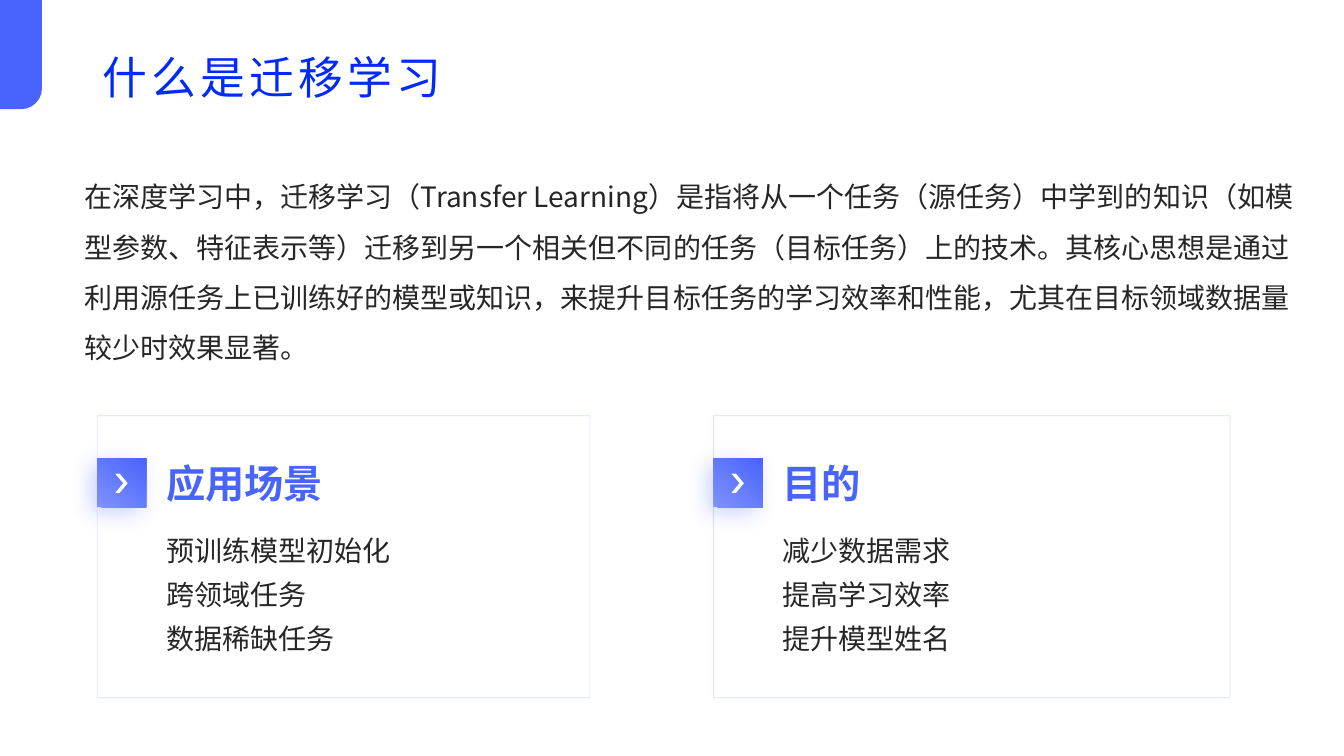
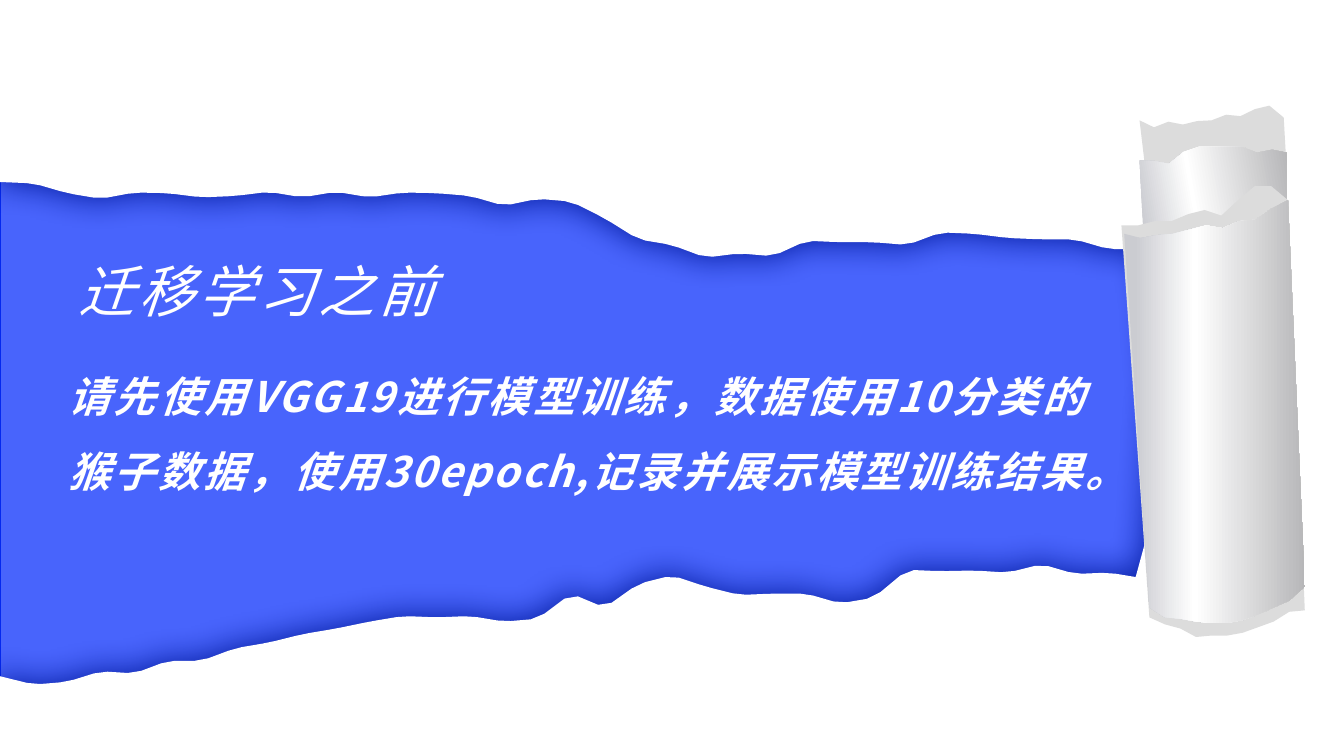
from lxml.etree import SubElement
from pptx import Presentation
from pptx.dml.color import RGBColor
from pptx.enum.shapes import MSO_SHAPE
from pptx.enum.text import MSO_ANCHOR, PP_ALIGN
from pptx.oxml.ns import qn
from pptx.util import Pt

FONT = "Noto Sans CJK SC"
PAGE_WIDTH, PAGE_HEIGHT = 960, 540
BLUE, TITLE_BLUE, SHADOW_BLUE = "4864FC", "002AF9", "0428EF"
DEEP_BLUE, PALE_BLUE, LINE_BLUE = "031B9F", "7F92FD", "91A2FD"
WHITE, INK, PAPER = "FFFFFF", "262626", "DCDCDC"
ROLL_STOPS = [(6, "CBCCD1"), (39, WHITE), (100, "B7B7B9")]
BADGE_STOPS = [(0, PALE_BLUE), (100, BLUE)]

DEFINITION = (
    "在深度学习中，迁移学习（Transfer Learning）是指将从一个任务（源任务）中学到的知识"
    "（如模型参数、特征表示等）迁移到另一个相关但不同的任务（目标任务）上的技术。"
    "其核心思想是通过利用源任务上已训练好的模型或知识，来提升目标任务的学习效率和性能，"
    "尤其在目标领域数据量较少时效果显著。"
)
CARDS = [
    (69.4, 352, "应用场景", ["预训练模型初始化", "跨领域任务", "数据稀缺任务"]),
    (509.6, 369, "目的", ["减少数据需求", "提高学习效率", "提升模型姓名"]),
]
TASK = "请先使用VGG19进行模型训练，数据使用10分类的猴子数据，使用30epoch,记录并展示模型训练结果。"

TEAR_END, FOLD = 816, (824, 291.6)
UPPER_TEAR = [
    130, 131, 138, 142, 137.5, 138, 141, 140, 137, 141, 137, 141, 137.5, 138, 140, 147, 142, 144,
    156, 171, 175, 184, 181, 183, 172, 173, 173, 175, 166, 167, 170, 171, 171, 178, 178,
]
LOWER_TEAR = [
    483, 489, 487, 479.5, 481, 472, 472, 463, 459, 453, 449, 444, 440, 441, 440, 444, 442, 424,
    434, 417, 411, 419, 425, 424, 424, 431, 427, 407, 408, 407.5, 409, 403, 410, 409, 413,
]
TORN_PAGES = [(UPPER_TEAR, 0, 90), (LOWER_TEAR, PAGE_HEIGHT, 238)]
BACK_SHEET = {
    "lip": [
        (814, 917, [86, 91, 87, 89, 86.5, 86, 82, 83, 78, 75.5, 84]),
        (819, 919, [128, 119.5]),
    ],
    "roll": [
        (814, 919, [114.5, 115, 117, 108.5, 105, 105, 105, 105, 109, 107, 109]),
        (818, 919, [192, 188]),
    ],
    "angle": 350,
}
FRONT_SHEET = {
    "lip": [
        (801, 920, [161, 161, 158, 158, 153, 150, 154, 143, 133, 133, 143]),
        (821, 932, [441, 446, 449, 455, 454, 454, 452, 448, 444, 437, 436]),
    ],
    "roll": [
        (803, 920, [167, 170, 168, 167, 164, 161, 163, 158, 157, 149, 143]),
        (821, 932, [434, 441, 442, 444, 445, 445, 443, 439, 434, 429, 419]),
    ],
    "angle": 0,
}


def rgb(value):
    """Turn a hex string into a colour."""
    return RGBColor.from_string(value)


def add_color(parent, value, alpha=None):
    """Append a colour element, optionally transparent."""
    color = SubElement(parent, qn("a:srgbClr"), val=value)
    if alpha is not None:
        SubElement(color, qn("a:alpha"), val=str(alpha * 1000))


def paint(shape, fill, line=None, width=1):
    """Give a shape a flat fill, an optional outline and no shadow."""
    shape.shadow.inherit = False
    shape.fill.solid()
    shape.fill.fore_color.rgb = rgb(fill)
    if line:
        shape.line.color.rgb = rgb(line)
        shape.line.width = Pt(width)
    else:
        shape.line.fill.background()
    return shape


def add_gradient(shape, stops, angle):
    """Replace the fill by a linear gradient with a clockwise angle."""
    shape.fill.gradient()
    gradient = shape._element.spPr.find(qn("a:gradFill"))
    for child in list(gradient):
        gradient.remove(child)
    stop_list = SubElement(gradient, qn("a:gsLst"))
    for position, value in stops:
        add_color(SubElement(stop_list, qn("a:gs"), pos=str(position * 1000)), value)
    SubElement(gradient, qn("a:lin"), ang=str(angle * 60000), scaled="0")


def add_shadow(shape, value, alpha, blur, distance, direction):
    """Add an outer shadow."""
    effects = shape._element.spPr.find(qn("a:effectLst"))
    shadow = SubElement(
        effects, qn("a:outerShdw"), blurRad=str(Pt(blur)), dist=str(Pt(distance)),
        dir=str(direction * 60000), algn="ctr", rotWithShape="0",
    )
    add_color(shadow, value, alpha)


def add_preset(page, kind, box, fill, line=None, width=1):
    """Draw a preset shape in a box given in points."""
    return paint(page.shapes.add_shape(kind, *map(Pt, box)), fill, line, width)


def spread(left, right, heights):
    """Place heights at equal steps from left to right."""
    step = (right - left) / (len(heights) - 1)
    return [(left + index * step, height) for index, height in enumerate(heights)]


def between(start, end, share):
    """Find the point a given share of the way from start to end."""
    return tuple(a + (b - a) * share for a, b in zip(start, end))


def soften(points, cut=0.2):
    """Cut every inner corner so that an edge looks rounded."""
    softened = [points[0]]
    for before, corner, after in zip(points, points[1:], points[2:]):
        softened += [between(corner, before, cut), between(corner, after, cut)]
    return softened + [points[-1]]


def add_outline(page, points, fill):
    """Draw a closed outline through points."""
    first, *others = [(Pt(x), Pt(y)) for x, y in points]
    builder = page.shapes.build_freeform(*first)
    builder.add_line_segments(others, close=True)
    return paint(builder.convert_to_shape(), fill)


def add_torn_page(page, tear, page_edge, direction):
    """Cover the part from a torn edge to the page's top or bottom."""
    edge = soften(spread(0, TEAR_END, tear) + [FOLD])
    frame = [(PAGE_WIDTH, FOLD[1]), (PAGE_WIDTH, page_edge), (0, page_edge)]
    add_shadow(add_outline(page, edge + frame, WHITE), DEEP_BLUE, 85, 22, 3, direction)


def add_band(page, edges, fill):
    """Draw the area between an upper and a lower edge."""
    upper, lower = [spread(*edge) for edge in edges]
    return add_outline(page, upper + lower[::-1], fill)


def add_sheet(page, lip, roll, angle):
    """Draw a rolled sheet with its torn lip behind it."""
    add_band(page, lip, PAPER)
    add_gradient(add_band(page, roll, WHITE), ROLL_STOPS, angle)


def add_text(page, box, lines, size, color, bold=False, italic=False, tracking=0,
             spacing=1, anchor=MSO_ANCHOR.TOP, insets=(7.2, 3.6, 7.2, 3.6), align=PP_ALIGN.LEFT):
    """Write one paragraph per line in a wrapped text box."""
    frame = page.shapes.add_textbox(*map(Pt, box)).text_frame
    frame.word_wrap = True
    frame.vertical_anchor = anchor
    frame.margin_left, frame.margin_top, frame.margin_right, frame.margin_bottom = map(Pt, insets)
    frame.text = "\n".join(lines)
    for para in frame.paragraphs:
        para.alignment = align
        para.line_spacing = spacing
        for span in para.runs:
            font = span.font
            font.name, font.size, font.bold, font.italic = FONT, Pt(size), bold, italic
            font.color.rgb = rgb(color)
            properties = span._r.get_or_add_rPr()
            SubElement(properties, qn("a:ea"), typeface=FONT)
            if tracking:
                properties.set("spc", str(int(tracking * 100)))


def add_title(page, box, text, size, color, **style):
    """Write a slide title in the shared style."""
    add_text(page, box, [text], size, color, tracking=3, anchor=MSO_ANCHOR.BOTTOM, **style)


def add_card(page, left, width, heading, lines):
    """Draw an outlined card with a badge, a heading and its lines."""
    panel = add_preset(page, MSO_SHAPE.RECTANGLE, (left, 297, width, 201.5), WHITE, LINE_BLUE, 0.5)
    line_color = panel.line._ln.find(qn("a:solidFill"))[0]
    SubElement(line_color, qn("a:alpha"), val="35000")
    text_left, text_width, flush = left + 49.5, 345, (0, 0, 0, 0)
    add_text(page, (text_left, 323.5, text_width, 38), [heading], 28, BLUE, bold=True,
             anchor=MSO_ANCHOR.BOTTOM, insets=flush)
    add_text(page, (text_left, 374, text_width, 109.5), lines, 20, INK, spacing=1.3, insets=flush)
    badge = add_preset(page, MSO_SHAPE.RECTANGLE, (left, 327.3, 35, 35), BLUE)
    add_gradient(badge, BADGE_STOPS, 310)
    add_shadow(badge, SHADOW_BLUE, 20, 16, 6, 135)
    chevron = add_preset(page, MSO_SHAPE.CHEVRON, (left + 13, 338.4, 8.8, 13.6), WHITE)
    chevron.adjustments[0] = 0.64


def build_definition(page):
    """Build the slide that explains transfer learning."""
    tab = add_preset(page, MSO_SHAPE.ROUND_1_RECTANGLE, (-24, 24, 78, 30), BLUE)
    tab.rotation = 90
    tab.adjustments[0] = 0.5
    add_title(page, (66, 24.6, 846, 53), "什么是迁移学习", 32, TITLE_BLUE)
    for card in CARDS:
        add_card(page, *card)
    add_text(page, (53, 112.8, 884, 167), [DEFINITION], 20, INK, spacing=1.5)


def build_task(page):
    """Build the torn-paper slide with the task."""
    add_preset(page, MSO_SHAPE.RECTANGLE, (0, 77, 922, 438), BLUE, SHADOW_BLUE)
    for torn_page in TORN_PAGES:
        add_torn_page(page, *torn_page)
    add_preset(page, MSO_SHAPE.RECTANGLE, (827, 192, PAGE_WIDTH - 827, 180), WHITE)
    for sheet in (BACK_SHEET, FRONT_SHEET):
        add_sheet(page, **sheet)
    add_title(page, (49, 164.6, 685, 70), "迁移学习之前", 40, WHITE, italic=True, spacing=1.5)
    add_text(page, (49, 243, 734, 174), [TASK], 30, WHITE, bold=True, italic=True, tracking=1.5,
             spacing=1.5, insets=(0, 3.6, 7.2, 3.6), align=PP_ALIGN.JUSTIFY)


def main():
    """Build and save the deck."""
    deck = Presentation()
    deck.slide_width, deck.slide_height = Pt(PAGE_WIDTH), Pt(PAGE_HEIGHT)
    for build in (build_definition, build_task):
        build(deck.slides.add_slide(deck.slide_layouts[6]))
    deck.save("out.pptx")


if __name__ == "__main__":
    main()
